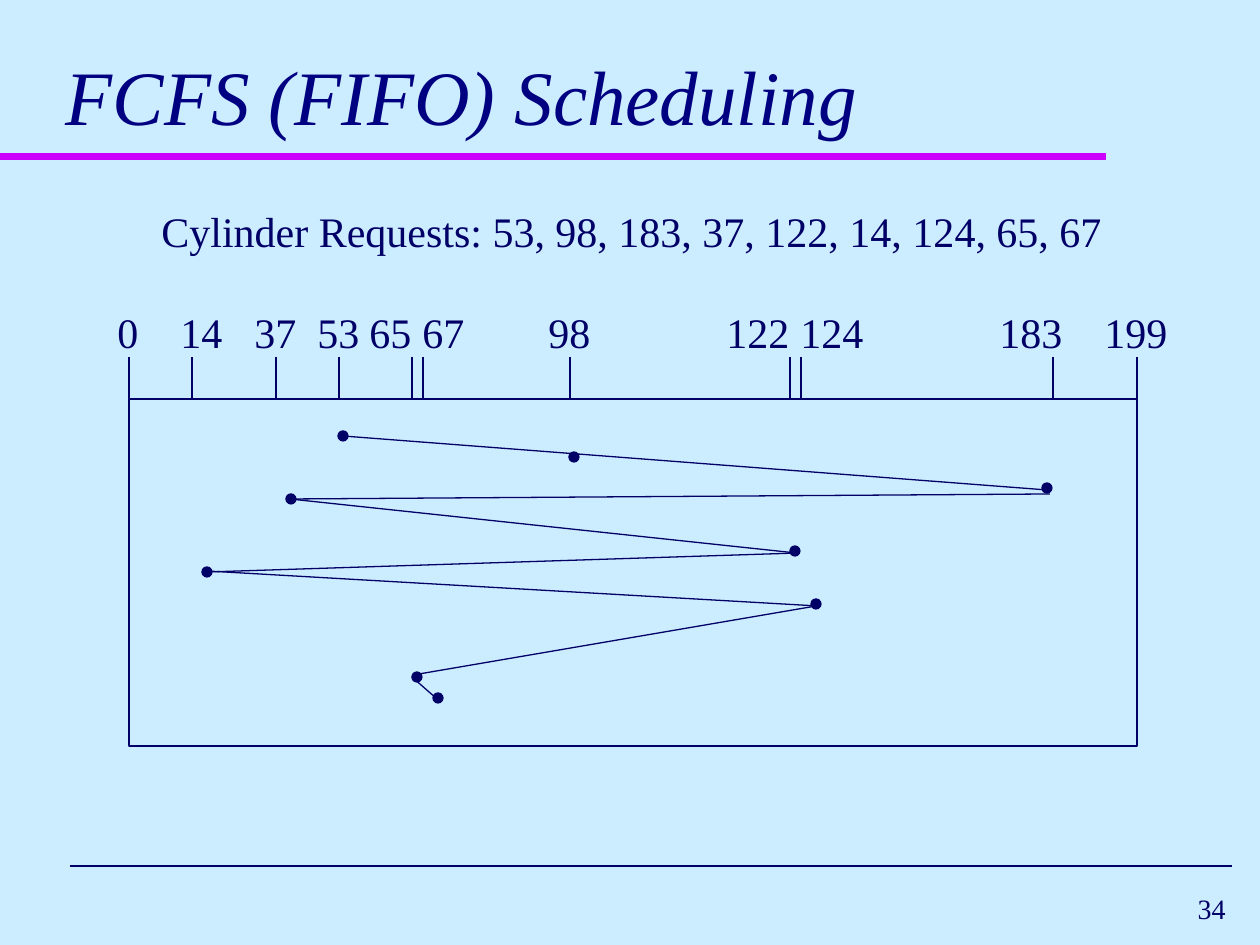
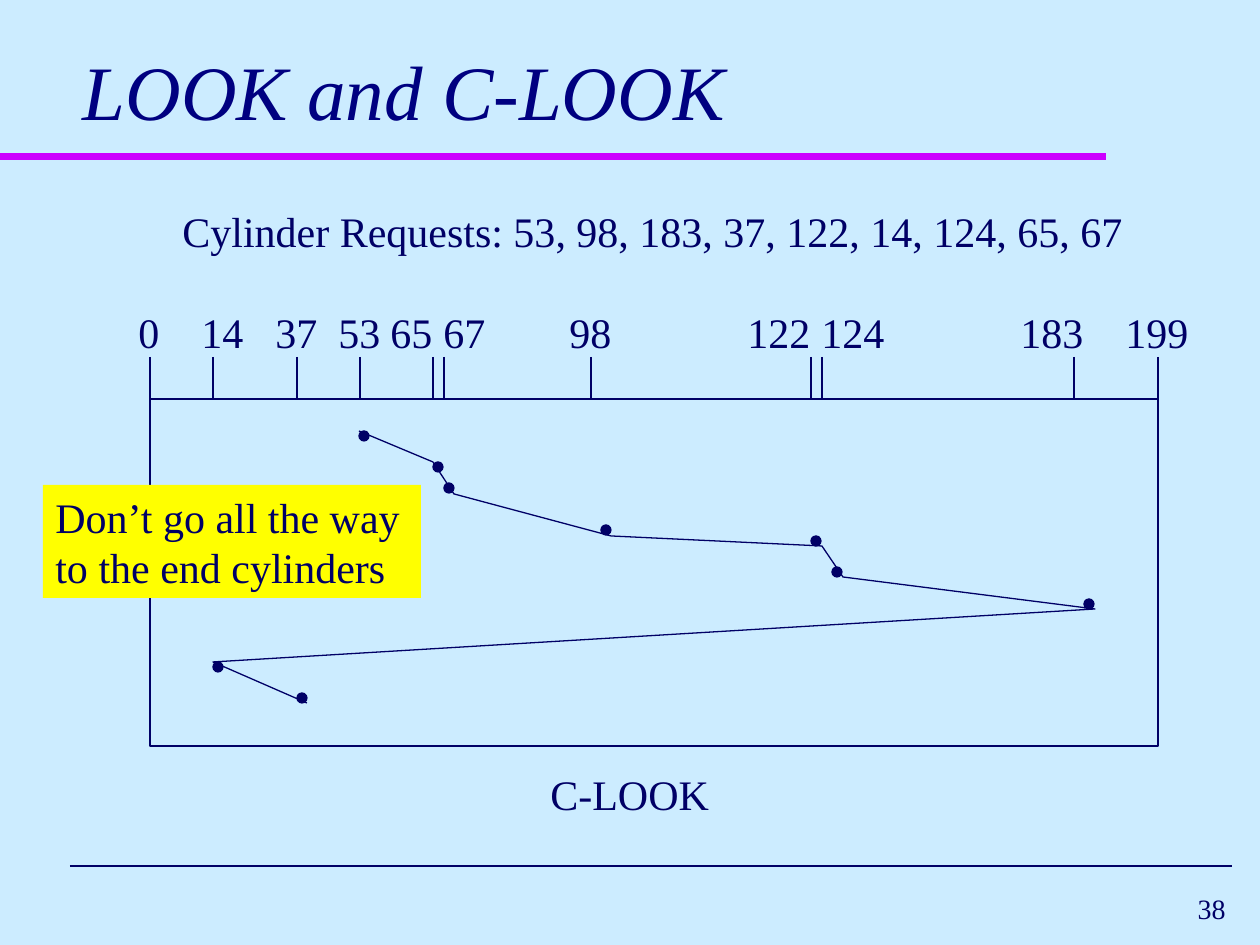
from pptx import Presentation
from pptx.dml.color import RGBColor
from pptx.enum.shapes import MSO_CONNECTOR as Connector, MSO_SHAPE as Shape
from pptx.enum.text import MSO_ANCHOR as Anchor, MSO_AUTO_SIZE as AutoSize, PP_ALIGN as Align
from pptx.oxml.xmlchemy import OxmlElement
from pptx.util import Pt

PX = 914400 / 126  # EMU in one pixel
FONT = "Times New Roman"
SKY = RGBColor(0xCC, 0xEC, 0xFF)
NAVY = RGBColor(0x00, 0x00, 0x66)
TITLE_BLUE = RGBColor(0x00, 0x00, 0x80)
MAGENTA = RGBColor(0xCC, 0x00, 0xFF)
YELLOW = RGBColor(0xFF, 0xFF, 0x00)

REQUESTS = "Cylinder Requests: 53, 98, 183, 37, 122, 14, 124, 65, 67"
CYLINDERS = [0, 14, 37, 53, 65, 67, 98, 122, 124, 183, 199]
TICKS = [0, 63, 147, 210, 283, 294, 441, 661, 672, 924, 1008]
LABEL_TABS = [63, 137, 200, 252, 305, 431, 609, 683, 882, 987]
FRAME_TOP, FRAME_WIDTH, FRAME_HEIGHT = 399, 1008, 347
TICK_TOP = 357
DOT = 10


def px(*lengths):
    return [round(length * PX) for length in lengths]


def write(shape, text, size=24, color=NAVY, italic=False, wrap=True):
    frame = shape.text_frame
    frame.word_wrap = wrap
    frame.auto_size = AutoSize.NONE
    para = frame.paragraphs[0]
    para.alignment = Align.LEFT
    span = para.add_run()
    span.text = text
    span.font.name = FONT
    span.font.size = Pt(size)
    span.font.italic = italic
    span.font.color.rgb = color
    return para


slides = [
    {
        "title": "FCFS (FIFO) Scheduling",
        "title_box": (53, 21, 1166, 126), "title_inset": 13, "title_spacing": 1.0,
        "number": "34",
        "left": 129, "requests_left": 149,
        "dots": [(343, 436), (574, 457), (1047, 488), (291, 499), (795, 551),
                 (207, 572), (816, 604), (417, 677), (438, 698)],
        "moves": [(343, 436, 1047, 490), (1050, 494, 289, 499), (290, 499, 796, 553),
                  (799, 553, 208, 572), (207, 571, 818, 606), (816, 606, 413, 675),
                  (412, 677, 437, 699)],
        "route": [],
        "notes": [],
    },
    {
        "title": "LOOK and C-LOOK",
        "title_box": (77, 28, 1047, 115), "title_inset": 6, "title_spacing": 0.85,
        "number": "38",
        "left": 150, "requests_left": 170,
        "dots": [(364, 436), (438, 467), (449, 488), (606, 530), (816, 541),
                 (837, 572), (1089, 604), (218, 667), (302, 698)],
        "moves": [],
        "route": [(359, 431), (433, 462), (454, 494), (611, 536), (822, 546),
                  (843, 577), (1095, 609), (213, 662), (307, 703)],
        "notes": [("Don’t go all the way to the end cylinders", (43, 485, 378, 113), YELLOW),
                  ("C-LOOK", (538, 762, 184, 63), None)],
    },
]

deck = Presentation()
deck.slide_width, deck.slide_height = px(1260, 945)
background = deck.slide_master.background.fill
background.solid()
background.fore_color.rgb = SKY

for content in slides:
    page = deck.slides.add_slide(deck.slide_layouts[5])
    shapes = page.shapes
    left = content["left"]

    # Title
    title = shapes.title
    title.left, title.top, title.width, title.height = px(*content["title_box"])
    para = write(title, content["title"], 44, TITLE_BLUE, italic=True)
    para.line_spacing = content["title_spacing"]
    title.text_frame.vertical_anchor = Anchor.BOTTOM
    title.text_frame.margin_left, title.text_frame.margin_right = px(*[content["title_inset"]] * 2)

    # Slide number
    box = shapes.add_textbox(*px(976, 882, 262, 53))
    para = write(box, content["number"], 16)
    para.alignment = Align.RIGHT
    box.text_frame.vertical_anchor = Anchor.MIDDLE

    # Request list
    box = shapes.add_textbox(*px(content["requests_left"], 199, 965, 63))
    write(box, REQUESTS, wrap=False)

    # Disk frame
    disk = shapes.add_shape(Shape.RECTANGLE, *px(left, FRAME_TOP, FRAME_WIDTH, FRAME_HEIGHT))
    disk.shadow.inherit = False
    disk.fill.background()
    disk.line.color.rgb = NAVY
    disk.line.width = Pt(0.75)

    # Cylinder labels, set on tab stops
    box = shapes.add_textbox(*px(left - 24, 300, 1080, 63))
    para = write(box, "\t".join(str(cylinder) for cylinder in CYLINDERS))
    tabs = OxmlElement("a:tabLst")
    for position in px(*LABEL_TABS):
        tab = OxmlElement("a:tab")
        tab.set("pos", str(position))
        tab.set("algn", "l")
        tabs.append(tab)
    para._p.get_or_add_pPr().append(tabs)

    # Title band, footer rule, ticks and head moves
    lines = [((0, 157, 1106, 157), MAGENTA, 4), ((70, 866, 1232, 866), NAVY, 1)]
    lines += [((left + tick, TICK_TOP, left + tick, FRAME_TOP), NAVY, 0.75) for tick in TICKS]
    lines += [(move, NAVY, 0.75) for move in content["moves"]]
    for ends, color, weight in lines:
        line = shapes.add_connector(Connector.STRAIGHT, *px(*ends))
        line.line.color.rgb = color
        line.line.width = Pt(weight)
        line._element.spPr.append(OxmlElement("a:effectLst"))

    # Notes
    for text, place, fill in content["notes"]:
        if fill is None:
            note = shapes.add_textbox(*px(*place))
        else:
            note = shapes.add_shape(Shape.RECTANGLE, *px(*place))
            note.shadow.inherit = False
            note.fill.solid()
            note.fill.fore_color.rgb = fill
            note.line.fill.background()
            note.text_frame.vertical_anchor = Anchor.TOP
        write(note, text, wrap=fill is not None)

    # Requests served, one dot each
    for x, y in content["dots"]:
        dot = shapes.add_shape(Shape.OVAL, *px(x - DOT / 2, y - DOT / 2, DOT, DOT))
        dot.shadow.inherit = False
        dot.fill.solid()
        dot.fill.fore_color.rgb = NAVY
        dot.line.color.rgb = NAVY
        dot.line.width = Pt(0.75)

    # Head route as one open outline
    if content["route"]:
        start, *stops = content["route"]
        builder = shapes.build_freeform(*start, scale=PX)
        builder.add_line_segments(stops, close=False)
        route = builder.convert_to_shape()
        route.shadow.inherit = False
        route.fill.background()
        route.line.color.rgb = NAVY
        route.line.width = Pt(0.75)

deck.save("out.pptx")
